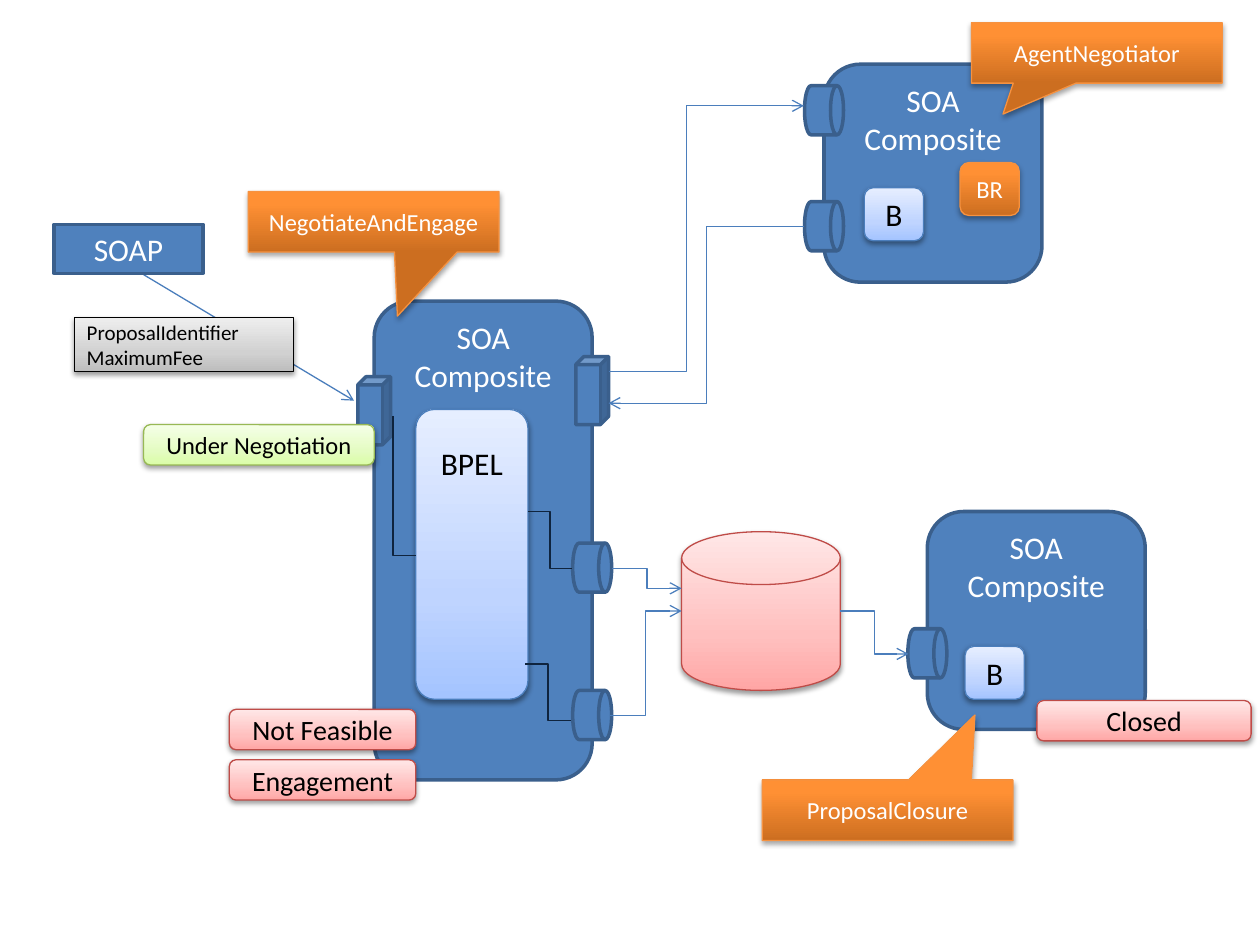
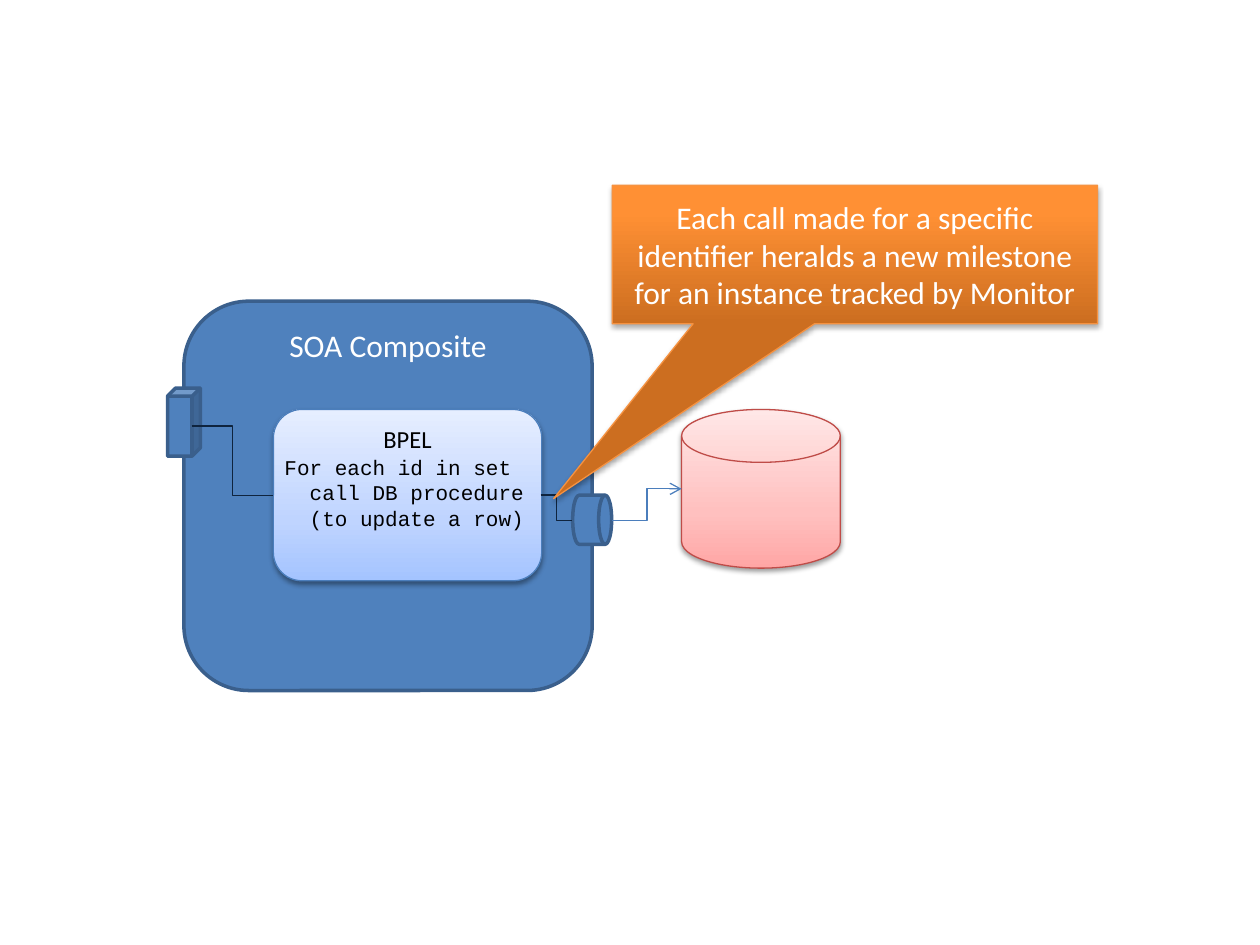
from pptx import Presentation
from pptx.dml.color import RGBColor
from pptx.enum.shapes import MSO_CONNECTOR, MSO_SHAPE
from pptx.enum.text import MSO_ANCHOR, PP_ALIGN
from pptx.oxml import parse_xml
from pptx.oxml.ns import nsdecls, qn
from pptx.util import Inches, Pt

BLUE = RGBColor(0x4F, 0x81, 0xBD)
EDGE = RGBColor(0x3A, 0x5F, 0x8C)
WIRE = RGBColor(0x4B, 0x7E, 0xBC)
NAVY = RGBColor(0x0F, 0x24, 0x3E)
WHITE = RGBColor(0xFF, 0xFF, 0xFF)
BLACK = RGBColor(0, 0, 0)
SOFT = (0, 35, 100)
DEEP = (0, 80, 100)
PINK = (SOFT, ("FFA6A5", "FFC0BF", "FFE7E7"), RGBColor(0xBF, 0x4C, 0x48))
SKY = (SOFT, ("A4C4FF", "BFD4FF", "E6EEFF"), WIRE)
LIME = (SOFT, ("DAFDA7", "E4FCC2", "F5FFE7"), RGBColor(0x98, 0xB9, 0x55))
GREY = (SOFT, ("BDBDBD", "D1D1D1", "EEEEEE"), BLACK)
ORANGE = (DEEP, ("CC6E20", "FF9034", "FF9136"), RGBColor(0xF6, 0x92, 0x40))
ROUND = MSO_SHAPE.ROUNDED_RECTANGLE
DRUM = (MSO_SHAPE.FLOWCHART_DIRECT_ACCESS_STORAGE, 0.31, 0.39)
CUBE = (MSO_SHAPE.CUBE, 0.26, 0.54)


def write(shape, text, size=18, color=WHITE, font="Calibri", align=PP_ALIGN.CENTER,
          anchor=MSO_ANCHOR.MIDDLE, top=0.05, wrap=True):
    """Put formatted text, one paragraph per line, into a shape."""
    frame = shape.text_frame
    frame.text = text
    frame.word_wrap = wrap
    frame.vertical_anchor = anchor
    frame.margin_top = Inches(top)
    for para in frame.paragraphs:
        para.alignment = align
        para.font.size = Pt(size)
        for run in para.runs:
            run.font.size = Pt(size)
            run.font.name = font
            run.font.color.rgb = color


def plain(slide, kind, x, y, w, h):
    """Add a flat blue shape with a dark edge."""
    shape = slide.shapes.add_shape(kind, Inches(x), Inches(y), Inches(w), Inches(h))
    shape.shadow.inherit = False
    shape.fill.solid()
    shape.fill.fore_color.rgb = BLUE
    shape.line.color.rgb = EDGE
    shape.line.width = Pt(2)
    return shape


def glossy(slide, kind, x, y, w, h, skin):
    """Add a shape with a gradient fill and a soft shadow."""
    places, colors, edge = skin
    shape = slide.shapes.add_shape(kind, Inches(x), Inches(y), Inches(w), Inches(h))
    stops = "".join(f'<a:gs pos="{place * 1000}"><a:srgbClr val="{color}"/></a:gs>'
                    for place, color in zip(places, colors))
    props = shape._element.spPr
    props.append(parse_xml(
        f'<a:gradFill {nsdecls("a")} rotWithShape="1"><a:gsLst>{stops}</a:gsLst>'
        '<a:lin ang="16200000" scaled="0"/></a:gradFill>'))
    shape.line.color.rgb = edge
    shape.line.width = Pt(0.75)
    blur, drop, alpha = (3.1, 1.8, 35) if skin is ORANGE else (3.1, 1.6, 38)
    props.append(parse_xml(
        f'<a:effectLst {nsdecls("a")}><a:outerShdw blurRad="{Pt(blur)}" dist="{Pt(drop)}" '
        'dir="5400000" rotWithShape="0"><a:srgbClr val="000000">'
        f'<a:alpha val="{alpha * 1000}"/></a:srgbClr></a:outerShdw></a:effectLst>'))
    return shape


def label(slide, text, x, y, w, h, skin, size=16, color=BLACK, kind=ROUND, **style):
    """Add a glossy shape that holds text."""
    shape = glossy(slide, kind, x, y, w, h, skin)
    write(shape, text, size=size, color=color, **style)
    return shape


def callout(slide, text, x, y, tip, w=1.99, h=0.48, size=14):
    """Add an orange callout whose tip is given in shares of its size."""
    shape = label(slide, text, x, y, w, h, ORANGE, size, WHITE, MSO_SHAPE.RECTANGULAR_CALLOUT)
    shape.adjustments[0], shape.adjustments[1] = tip


def wire(slide, start, end, color=WIRE, arrow=True, bend=0.5, straight=False):
    """Join two points with a thin line, bent at a share of its width."""
    kind = MSO_CONNECTOR.STRAIGHT if straight else MSO_CONNECTOR.ELBOW
    line = slide.shapes.add_connector(kind, *(Inches(v) for v in (*start, *end)))
    line.line.color.rgb = color
    line.line.width = Pt(0.75)
    props = line._element.spPr
    if not straight:
        guides = props.find(qn("a:prstGeom")).get_or_add_avLst()
        guides.append(parse_xml(
            f'<a:gd {nsdecls("a")} name="adj1" fmla="val {round(bend * 100000)}"/>'))
    if arrow:
        line.line._get_or_add_ln().append(parse_xml(f'<a:tailEnd {nsdecls("a")} type="arrow"/>'))
    props.append(parse_xml(f'<a:effectLst {nsdecls("a")}/>'))


def host(slide, x, y, w=1.73, h=1.73, left=(), right=()):
    """Draw a composite with ports centred on its left and right edges."""
    write(plain(slide, ROUND, x, y, w, h), "SOA Composite", anchor=MSO_ANCHOR.TOP)
    for edge, ports in ((x, left), (x + w, right)):
        for (kind, wide, high), drop in ports:
            plain(slide, kind, edge - wide / 2, y + drop, wide, high)


def badge(slide, text, x, y, skin=SKY, size=18, color=BLACK):
    """Draw a small component tile."""
    label(slide, text, x, y, 0.47, 0.42, skin, size, color)


def store(slide, x, y):
    """Draw the pink data store."""
    glossy(slide, MSO_SHAPE.FLOWCHART_MAGNETIC_DISK, x, y, 1.26, 1.26, PINK)


def agent(slide, x, y):
    """Draw the negotiator composite and its callout."""
    host(slide, x, y, left=((DRUM, 0.17), (DRUM, 1.09)))
    callout(slide, "AgentNegotiator", x + 1.17, y - 0.33, (-0.374, 1.012))
    badge(slide, "B", x + 0.32, y + 0.98)
    badge(slide, "BR", x + 1.08, y + 0.78, ORANGE, 14, WHITE)


def closure(slide, x, y):
    """Draw the closing composite, its callout and its state."""
    host(slide, x, y, left=((DRUM, 0.93),))
    callout(slide, "ProposalClosure", x - 1.31, y + 2.13, (0.348, -1.574))
    badge(slide, "B", x + 0.3, y + 1.07)
    label(slide, "Closed", x + 0.87, y + 1.5, 1.7, 0.32, PINK)


def engage(slide, x, y):
    """Draw the main composite with its process and states."""
    host(slide, x, y, h=3.8, left=((CUBE, 0.6),),
         right=((CUBE, 0.44), (DRUM, 1.92), (DRUM, 3.09)))
    callout(slide, "NegotiateAndEngage", x - 1, y - 0.87, (0.095, 1.561))
    label(slide, "BPEL", x + 0.33, y + 0.86, 0.89, 2.3, SKY, 18,
          anchor=MSO_ANCHOR.TOP, top=0.23)
    for start, end, bend in (((0.15, 0.91), (0.33, 2.02), 0),
                             ((1.22, 1.67), (1.57, 2.12), 0.5),
                             ((1.2, 2.88), (1.56, 3.33), 0.5)):
        wire(slide, (x + start[0], y + start[1]), (x + end[0], y + end[1]), NAVY, False, bend)
    for row, text in enumerate(("Not Feasible", "Engagement")):
        label(slide, text, x - 1.15, y + 3.24 + 0.4 * row, 1.48, 0.32, PINK)
    label(slide, "Under Negotiation", x - 1.83, y + 0.98, 1.83, 0.32, LIME, 14)


def client(slide, x, y):
    """Draw the SOAP caller and the message it sends."""
    wire(slide, (x + 0.71, y + 0.4), (x + 2.38, y + 1.4), straight=True)
    write(plain(slide, MSO_SHAPE.RECTANGLE, x, y, 1.18, 0.39), "SOAP")
    label(slide, "ProposalIdentifier\nMaximumFee", x + 0.16, y + 0.74, 1.74, 0.43, GREY, 12,
          kind=MSO_SHAPE.RECTANGLE, align=PP_ALIGN.LEFT)


def overview(slide):
    """Build the slide with all composites."""
    engage(slide, 2.97, 2.39)
    store(slide, 5.41, 4.22)
    agent(slide, 6.54, 0.51)
    closure(slide, 7.36, 4.06)
    client(slide, 0.43, 1.78)
    for start, end, bend in (((4.84, 5.68), (5.41, 4.85), 0.5),
                             ((4.86, 4.51), (5.41, 4.67), 0.5),
                             ((6.67, 4.85), (7.21, 5.19), 0.5),
                             ((4.83, 2.95), (6.38, 0.84), 0.4),
                             ((6.38, 1.8), (4.83, 3.2), 0.5)):
        wire(slide, start, end, bend=bend)


def detail(slide, x, y):
    """Build the slide with one composite that updates the store."""
    host(slide, x, y, 3.24, 3.09, left=((CUBE, 0.69),), right=((DRUM, 1.54),))
    store(slide, x + 3.95, y + 0.86)
    wire(slide, (x + 3.4, y + 1.74), (x + 3.95, y + 1.49))
    label(slide, "BPEL", x + 0.71, y + 0.86, 2.13, 1.36, SKY, 14, anchor=MSO_ANCHOR.TOP)
    wire(slide, (x + 0.06, y + 0.99), (x + 0.71, y + 1.54), NAVY, False)
    wire(slide, (x + 2.83, y + 1.54), (x + 3.08, y + 1.74), NAVY, False)
    code = slide.shapes.add_textbox(Inches(x + 0.7), Inches(y + 1.17), Inches(2.13), Inches(0.71))
    write(code, "For each id in set\ncall DB procedure\n(to update a row)", size=12, color=BLACK,
          font="Courier New", align=PP_ALIGN.LEFT, anchor=MSO_ANCHOR.TOP, wrap=False)
    for para in code.text_frame.paragraphs[1:]:
        para._p.get_or_add_pPr().set("marL", str(Inches(0.2)))
    callout(slide, "Each call made for a specific identifier heralds a new milestone "
            "for an instance tracked by Monitor", x + 3.4, y - 0.92, (-0.621, 1.761),
            3.85, 1.1, 18)


def main():
    """Build and save the deck."""
    deck = Presentation()
    deck.slide_width, deck.slide_height = Inches(10), Inches(7.5)
    blank = deck.slide_layouts[6]
    overview(deck.slides.add_slide(blank))
    detail(deck.slides.add_slide(blank), 1.46, 2.39)
    deck.save("out.pptx")


main()
